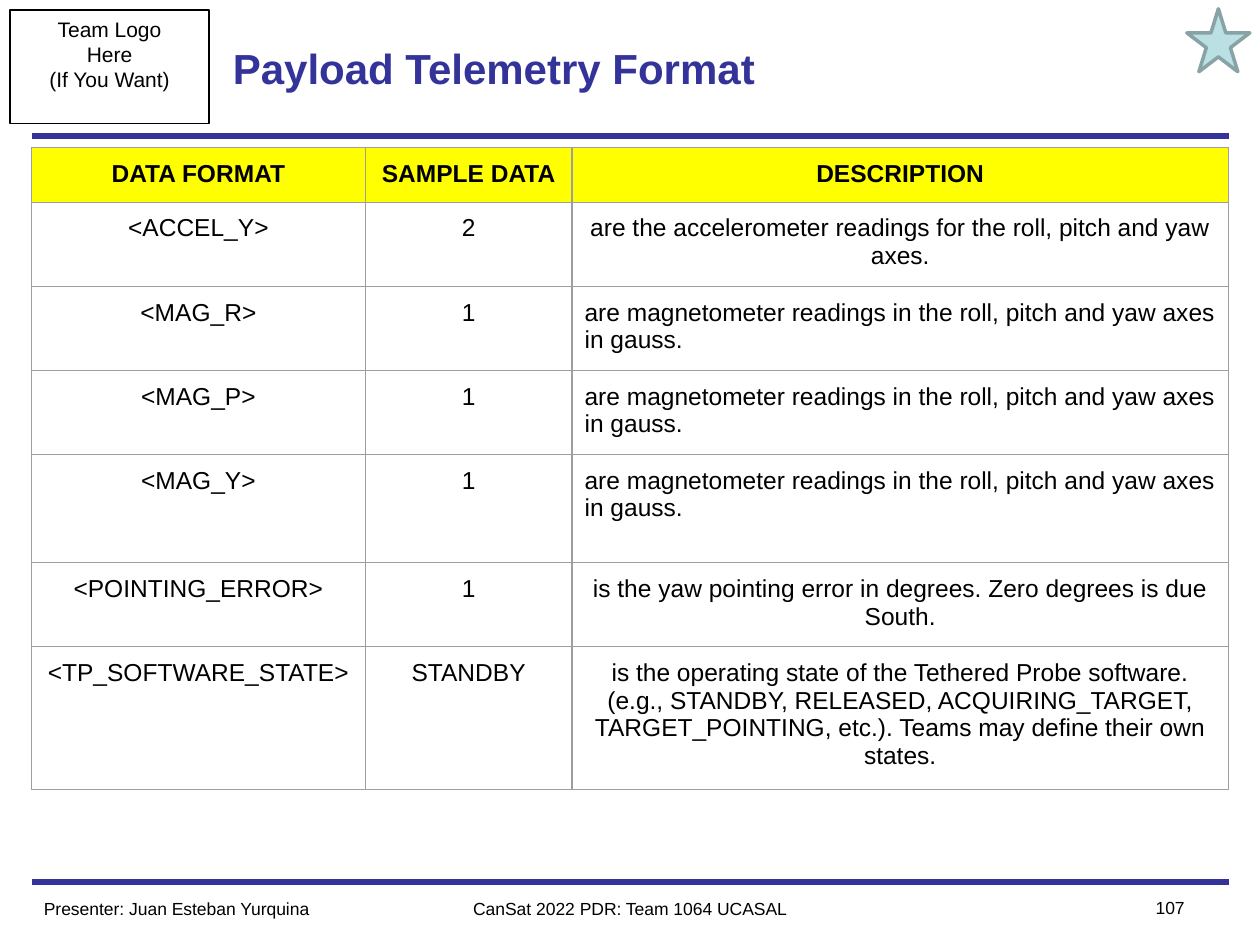
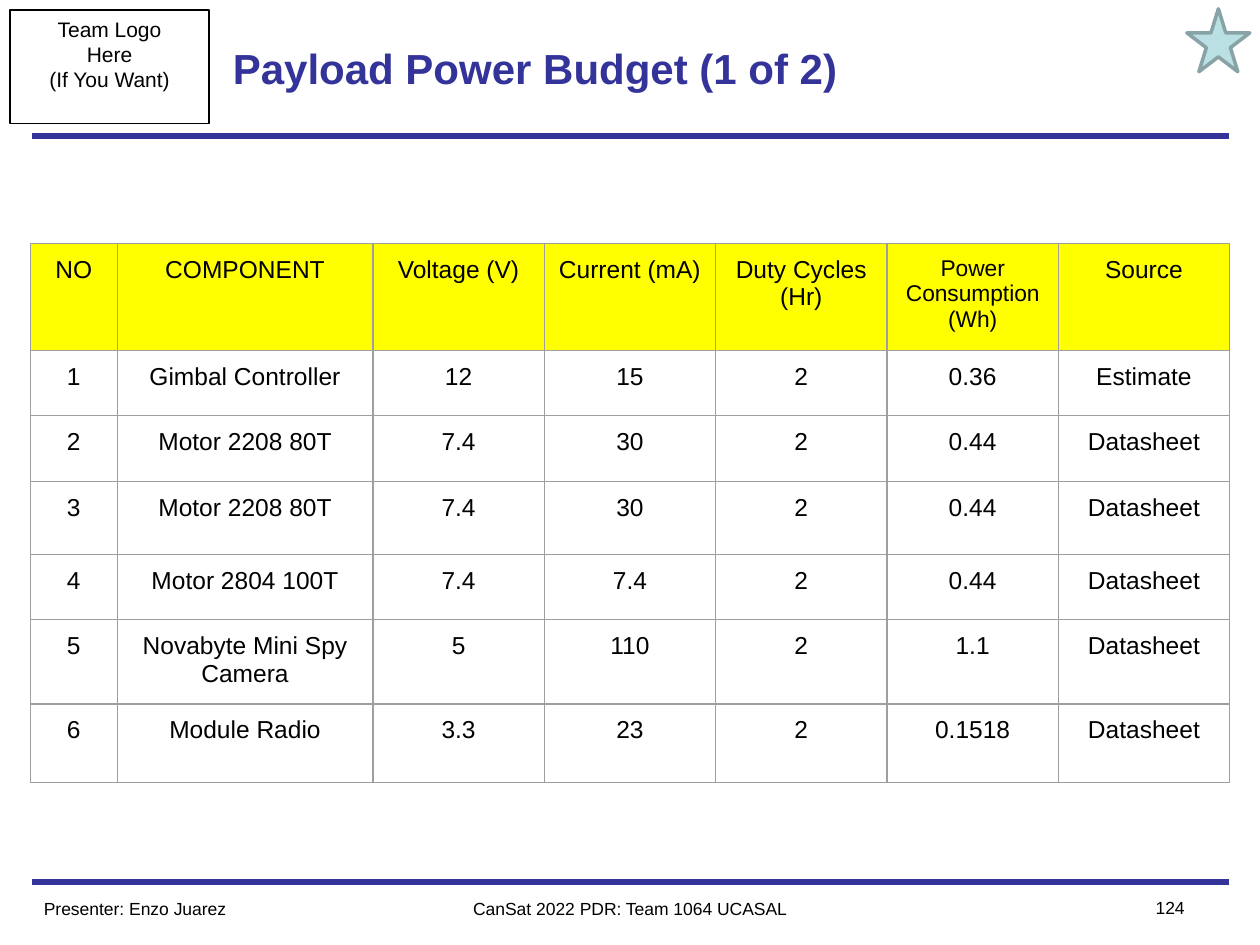
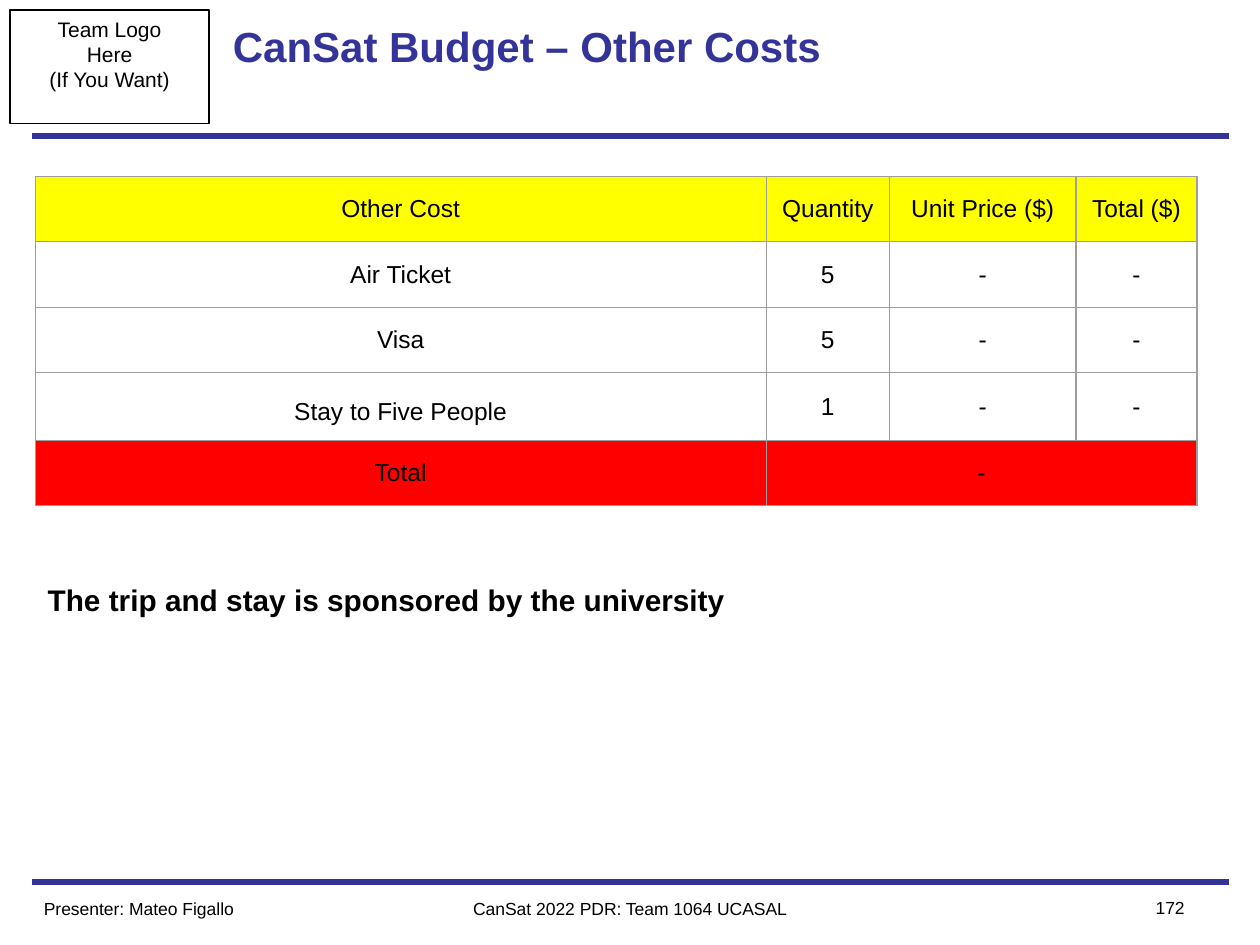
from lxml.etree import SubElement
from pptx import Presentation
from pptx.dml.color import RGBColor
from pptx.enum.shapes import MSO_CONNECTOR, MSO_SHAPE
from pptx.enum.text import MSO_ANCHOR, PP_ALIGN
from pptx.oxml.ns import qn
from pptx.util import Inches, Pt

NAVY = RGBColor(0x33, 0x33, 0x99)
BLACK = RGBColor(0x00, 0x00, 0x00)
YELLOW = RGBColor(0xFF, 0xFF, 0x00)
RED = RGBColor(0xFF, 0x00, 0x00)
GREY = RGBColor(0x9E, 0x9E, 0x9E)
STAR_FILL = RGBColor(0xBB, 0xE0, 0xE3)
STAR_LINE = RGBColor(0x88, 0xA3, 0xA5)

FONT = "Arial"
LEFT, CENTER, RIGHT = PP_ALIGN.LEFT, PP_ALIGN.CENTER, PP_ALIGN.RIGHT
TOP, MIDDLE = MSO_ANCHOR.TOP, MSO_ANCHOR.MIDDLE
PARAGRAPH_KEYS = ("alignment", "line_spacing", "space_after")

# Text formats
TITLE = {"size": Pt(24), "bold": True, "color": NAVY}
FOOTER = {"size": Pt(10)}
LOGO = {"size": Pt(12), "alignment": CENTER}
CELL = {"size": Pt(14), "alignment": CENTER}
NOTE = {"size": Pt(17), "bold": True}


class SlideBuilder:
    """Holds the shared style and the slide being built."""

    def __init__(self):
        self.deck = Presentation()
        self.deck.slide_width, self.deck.slide_height = Inches(10), Inches(7.5)
        self.page = None

    def fill_frame(self, frame, text, style, margin_y=0.05, anchor=TOP):
        frame.word_wrap = True
        frame.vertical_anchor = anchor
        frame.margin_left = frame.margin_right = Inches(0.1)
        frame.margin_top = frame.margin_bottom = Inches(margin_y)
        frame.text = text
        for paragraph in frame.paragraphs:
            self.format_paragraph(paragraph, style)

    def format_paragraph(self, paragraph, style):
        values = {"name": FONT, "color": BLACK, **style}
        for key, value in values.items():
            if key == "color":
                paragraph.font.color.rgb = value
            elif key in PARAGRAPH_KEYS:
                setattr(paragraph, key, value)
            else:
                setattr(paragraph.font, key, value)

    def text(self, place, text, style, **layout):
        box = self.page.shapes.add_textbox(*map(Inches, place))
        self.fill_frame(box.text_frame, text, style, **layout)

    def shape(self, kind, place, line, width, fill=None):
        shape = self.page.shapes.add_shape(kind, *map(Inches, place))
        shape.shadow.inherit = False
        if fill is None:
            shape.fill.background()
        else:
            shape.fill.solid()
            shape.fill.fore_color.rgb = fill
        shape.line.color.rgb = line
        shape.line.width = Pt(width)
        return shape

    def rule(self, y):
        ends = map(Inches, (0.25, y, 9.75, y))
        line = self.page.shapes.add_connector(MSO_CONNECTOR.STRAIGHT, *ends)
        line.line.color.rgb = NAVY
        line.line.width = Pt(3)
        SubElement(line.element.spPr, qn("a:effectLst"))

    def start(self, title, presenter, number, star=True, **title_layout):
        """Add a slide with its title, rules, logo frame and footer."""
        self.page = self.deck.slides.add_slide(self.deck.slide_layouts[6])
        for y in (1.08, 7):
            self.rule(y)
        frame = self.shape(MSO_SHAPE.RECTANGLE, (0.08, 0.08, 1.58, 0.9), BLACK, 0.75)
        self.fill_frame(frame.text_frame, "Team Logo\nHere\n(If You Want)", LOGO)
        layout = {"anchor": MIDDLE, **title_layout}
        self.text((1.75, 0.08, 6.5, 0.92), title, TITLE, **layout)
        footers = [
            ((0.25, 7.08, 2.5, 0.27), f"Presenter: {presenter}", LEFT),
            ((3, 7.08, 4, 0.27), "CanSat 2022 PDR: Team 1064 UCASAL", CENTER),
            ((8.75, 7.07, 0.75, 0.27), str(number), RIGHT),
        ]
        for place, text, alignment in footers:
            self.text(place, text, {**FOOTER, "alignment": alignment})
        if star:
            self.shape(MSO_SHAPE.STAR_5_POINT, (9.42, 0.07, 0.5, 0.5),
                       STAR_LINE, 2, STAR_FILL)

    def border(self, cell):
        properties = cell._tc.get_or_add_tcPr()
        for side in ("a:lnL", "a:lnR", "a:lnT", "a:lnB"):
            line = SubElement(properties, qn(side), w=str(Pt(0.75)))
            fill = SubElement(line, qn("a:solidFill"))
            SubElement(fill, qn("a:srgbClr"), val=str(GREY))

    def table(self, left, top, widths, heights, rows, row_fills, special=None, anchor=TOP):
        """Add a table; special maps (row, column) to extra text format."""
        special = special or {}
        size = (left, top, sum(widths), sum(heights))
        table = self.page.shapes.add_table(
            len(rows), len(widths), *map(Inches, size)).table
        table.first_row = table.horz_banding = False
        for column, width in zip(table.columns, widths):
            column.width = Inches(width)
        for row, height in zip(table.rows, heights):
            row.height = Inches(height)
        for i, texts in enumerate(rows):
            for j, text in enumerate(texts):
                cell = table.cell(i, j)
                self.border(cell)
                if i in row_fills:
                    cell.fill.solid()
                    cell.fill.fore_color.rgb = row_fills[i]
                else:
                    cell.fill.background()
                self.fill_cell(cell, text, {**CELL, **special.get((i, j), {})}, anchor)
        return table

    def fill_cell(self, cell, text, style, anchor):
        cell.vertical_anchor = anchor
        cell.margin_left = cell.margin_right = Inches(0.1)
        cell.margin_top = cell.margin_bottom = Inches(0.1)
        cell.text = text
        self.format_paragraph(cell.text_frame.paragraphs[0], style)


def telemetry_slide(builder):
    builder.start("Payload Telemetry Format", "Juan Esteban Yurquina", 107)
    magnetometer = "are magnetometer readings in the roll, pitch and yaw axes in gauss."
    rows = [
        ("DATA FORMAT", "SAMPLE DATA", "DESCRIPTION"),
        ("<ACCEL_Y>", "2",
         "are the accelerometer readings for the roll, pitch and yaw axes."),
        *((f"<MAG_{axis}>", "1", magnetometer) for axis in "RPY"),
        ("<POINTING_ERROR>", "1",
         "is the yaw pointing error in degrees. Zero degrees is due South."),
        ("<TP_SOFTWARE_STATE>", "STANDBY",
         "is the operating state of the Tethered Probe software. (e.g., STANDBY, "
         "RELEASED, ACQUIRING_TARGET, TARGET_POINTING, etc.). Teams may define "
         "their own states."),
    ]
    special = {(0, column): {"bold": True} for column in range(3)}
    special.update({(row, 2): {"alignment": LEFT} for row in (2, 3, 4)})
    builder.table(0.25, 1.17, (2.65, 1.64, 5.21),
                  (0.41, 0.64, 0.64, 0.65, 0.86, 0.64, 1.07),
                  rows, {0: YELLOW}, special)


def power_slide(builder):
    builder.start("Payload Power Budget (1 of 2)", "Enzo Juarez", 124)
    components = [
        ("Gimbal Controller", "12", "15", "2", "0.36", "Estimate"),
        ("Motor 2208 80T", "7.4", "30", "2", "0.44", "Datasheet"),
        ("Motor 2208 80T", "7.4", "30", "2", "0.44", "Datasheet"),
        ("Motor 2804 100T", "7.4", "7.4", "2", "0.44", "Datasheet"),
        ("Novabyte Mini Spy Camera", "5", "110", "2", "1.1", "Datasheet"),
        ("Module Radio", "3.3", "23", "2", "0.1518", "Datasheet"),
    ]
    rows = [("NO", "COMPONENT", "Voltage (V)", "Current (mA)", "Duty Cycles (Hr)",
             "Power Consumption (Wh)", "Source")]
    rows += [(str(number), *values) for number, values in enumerate(components, 1)]
    builder.table(0.24, 1.93, (0.69, 2.03, *[1.36] * 5),
                  (0.83, 0.52, 0.52, 0.58, 0.52, 0.64, 0.62),
                  rows, {0: YELLOW}, {(0, 5): {"size": Pt(13)}})


def costs_slide(builder):
    builder.start("CanSat Budget – Other Costs", "Mateo Figallo", 172,
                  star=False, anchor=TOP, margin_y=0.08)
    rows = [
        ("Other Cost", "Quantity", "Unit Price ($)", "Total ($)"),
        ("Air Ticket", "5", "-", "-"),
        ("Visa", "5", "-", "-"),
        ("Stay to Five People", "1", "-", "-"),
        ("Total", "-", "", ""),
    ]
    table = builder.table(0.28, 1.4, (5.8, 0.98, 1.48, 0.96), [0.52] * 5,
                          rows, {0: YELLOW, 4: RED},
                          {(3, 0): {"line_spacing": 1.43, "space_after": Pt(11)}},
                          anchor=MIDDLE)
    table.cell(4, 1).merge(table.cell(4, 3))
    builder.text((0.28, 4.52, 8.04, 0.49),
                 "The trip and stay is sponsored by the university", NOTE, margin_y=0.1)


def main():
    builder = SlideBuilder()
    for build in (telemetry_slide, power_slide, costs_slide):
        build(builder)
    builder.deck.save("out.pptx")


if __name__ == "__main__":
    main()
